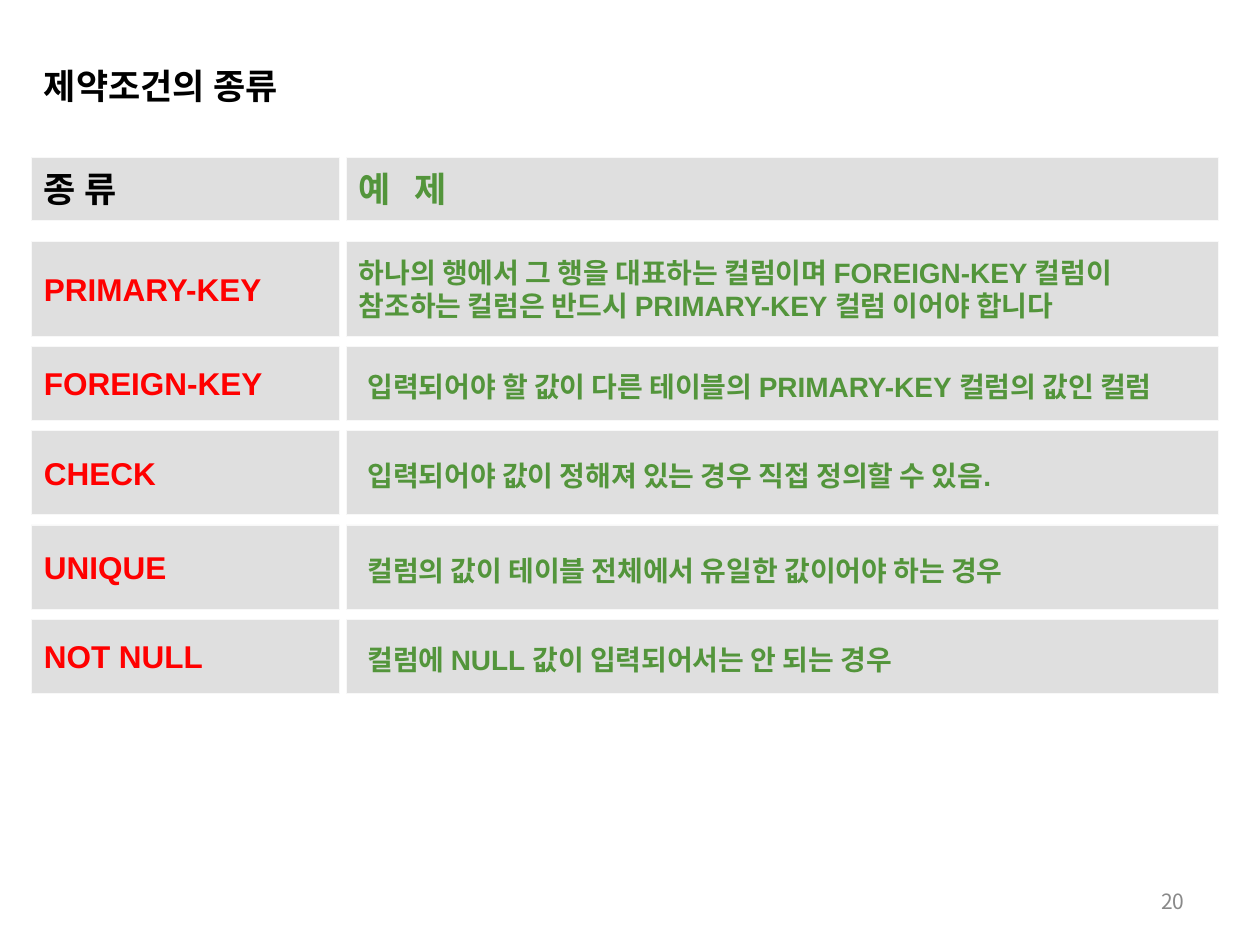
from dataclasses import dataclass

from lxml.etree import SubElement
from pptx import Presentation
from pptx.dml.color import RGBColor
from pptx.enum.shapes import MSO_SHAPE
from pptx.enum.text import MSO_ANCHOR, PP_ALIGN
from pptx.oxml.ns import qn
from pptx.util import Emu, Pt

PX = 914400 // 120  # 120 px to the inch


@dataclass(frozen=True)
class Theme:
    black: str = "000000"
    red: str = "FF0000"
    green: str = "53953B"
    gray: str = "898989"
    cell: str = "C0C0C0"
    border: str = "F8F8F8"
    latin: str = "Arial"
    korean: str = "Noto Sans CJK KR"
    heading: int = 20
    key: int = 18
    body: int = 16
    number: int = 12


THEME = Theme()
HEADINGS = ("종 류", "예 제")
CONSTRAINTS = [  # name, row height, example lines, example offset (left, top)
    ("PRIMARY-KEY", 90, ["하나의 행에서 그 행을 대표하는 컬럼이며 FOREIGN-KEY 컬럼이",
                         "참조하는 컬럼은 반드시 PRIMARY-KEY 컬럼 이어야 합니다"], (0, 0)),
    ("FOREIGN-KEY", 70, ["입력되어야 할 값이 다른 테이블의 PRIMARY-KEY 컬럼의 값인 컬럼"], (8, 6)),
    ("CHECK", 80, ["입력되어야 값이 정해져 있는 경우 직접 정의할 수 있음."], (8, 6)),
    ("UNIQUE", 80, ["컬럼의 값이 테이블 전체에서 유일한 값이어야 하는 경우"], (8, 6)),
    ("NOT NULL", 70, ["컬럼에 NULL 값이 입력되어서는 안 되는 경우"], (8, 6)),
]


def px(*lengths):
    return [Emu(length * PX) for length in lengths]


def write(shape, lines, *, size, color, font=THEME.korean, bold=True, wrap=False,
          align=PP_ALIGN.LEFT, anchor=MSO_ANCHOR.MIDDLE, line_spacing=None,
          offset=(0, 0), space_tracking=0):
    """Fill a shape with paragraphs; space_tracking widens spaces, in points."""
    frame = shape.text_frame
    frame.word_wrap = wrap
    frame.vertical_anchor = anchor
    frame.margin_left, frame.margin_top = px(12 + offset[0], 6 + offset[1])
    frame.margin_right, frame.margin_bottom = px(12, 6)
    for index, line in enumerate(lines):
        paragraph = frame.add_paragraph() if index else frame.paragraphs[0]
        paragraph.alignment = align
        paragraph.line_spacing = line_spacing
        for piece in line.partition(" ") if space_tracking else [line]:
            run = paragraph.add_run()
            run.text = piece
            run.font.size = Pt(size)
            run.font.bold = bold
            run.font.name = font
            run.font.color.rgb = RGBColor.from_string(color)
            properties = run.font._element
            SubElement(properties, qn("a:ea")).set("typeface", THEME.korean)
            if piece == " ":
                properties.set("spc", str(space_tracking * 100))


def add_cell(slide, box, lines, **text_format):
    cell = slide.shapes.add_shape(MSO_SHAPE.RECTANGLE, *px(*box))
    cell.shadow.inherit = False
    cell.fill.solid()
    cell.fill.fore_color.rgb = RGBColor.from_string(THEME.cell)
    cell_color = cell.fill._xPr.find(qn("a:solidFill"))[0]
    SubElement(cell_color, qn("a:alpha")).set("val", "50000")
    cell.line.color.rgb = RGBColor.from_string(THEME.border)
    cell.line.width = Pt(0.25)
    write(cell, lines, **text_format)


def add_title(slide, box):
    title = slide.shapes.add_textbox(*px(*box))
    write(title, ["제약조건의 종류"], size=THEME.heading, color=THEME.black,
          wrap=True, anchor=MSO_ANCHOR.TOP, line_spacing=1.25)


def add_constraint_grid(slide, left, top, width):
    kind_width, column_gap, row_gap, heading_height = 293, 7, 10, 60
    example_left = left + kind_width + column_gap
    example_width = width - kind_width - column_gap

    # Column headings
    add_cell(slide, (left, top, kind_width, heading_height), [HEADINGS[0]],
             size=THEME.heading, color=THEME.black)
    add_cell(slide, (example_left, top, example_width, heading_height), [HEADINGS[1]],
             size=THEME.heading, color=THEME.green, space_tracking=9)

    # One row for each constraint
    row_top = top + heading_height + 2 * row_gap
    for name, height, example, offset in CONSTRAINTS:
        add_cell(slide, (left, row_top, kind_width, height), [name],
                 size=THEME.key, color=THEME.red, font=THEME.latin)
        add_cell(slide, (example_left, row_top, example_width, height), example,
                 size=THEME.body, color=THEME.green, font=THEME.latin, offset=offset)
        row_top += height + row_gap


def add_page_number(slide, box):
    number = slide.shapes.add_textbox(*px(*box))
    write(number, ["20"], size=THEME.number, color=THEME.gray, bold=False,
          wrap=True, align=PP_ALIGN.RIGHT)


def main():
    deck = Presentation()
    deck.slide_width, deck.slide_height = px(1200, 900)
    slide = deck.slides.add_slide(deck.slide_layouts[6])
    add_title(slide, (30, 46, 293, 62))
    add_constraint_grid(slide, left=30, top=150, width=1130)
    add_page_number(slide, (860, 834, 280, 48))
    deck.save("out.pptx")


if __name__ == "__main__":
    main()
